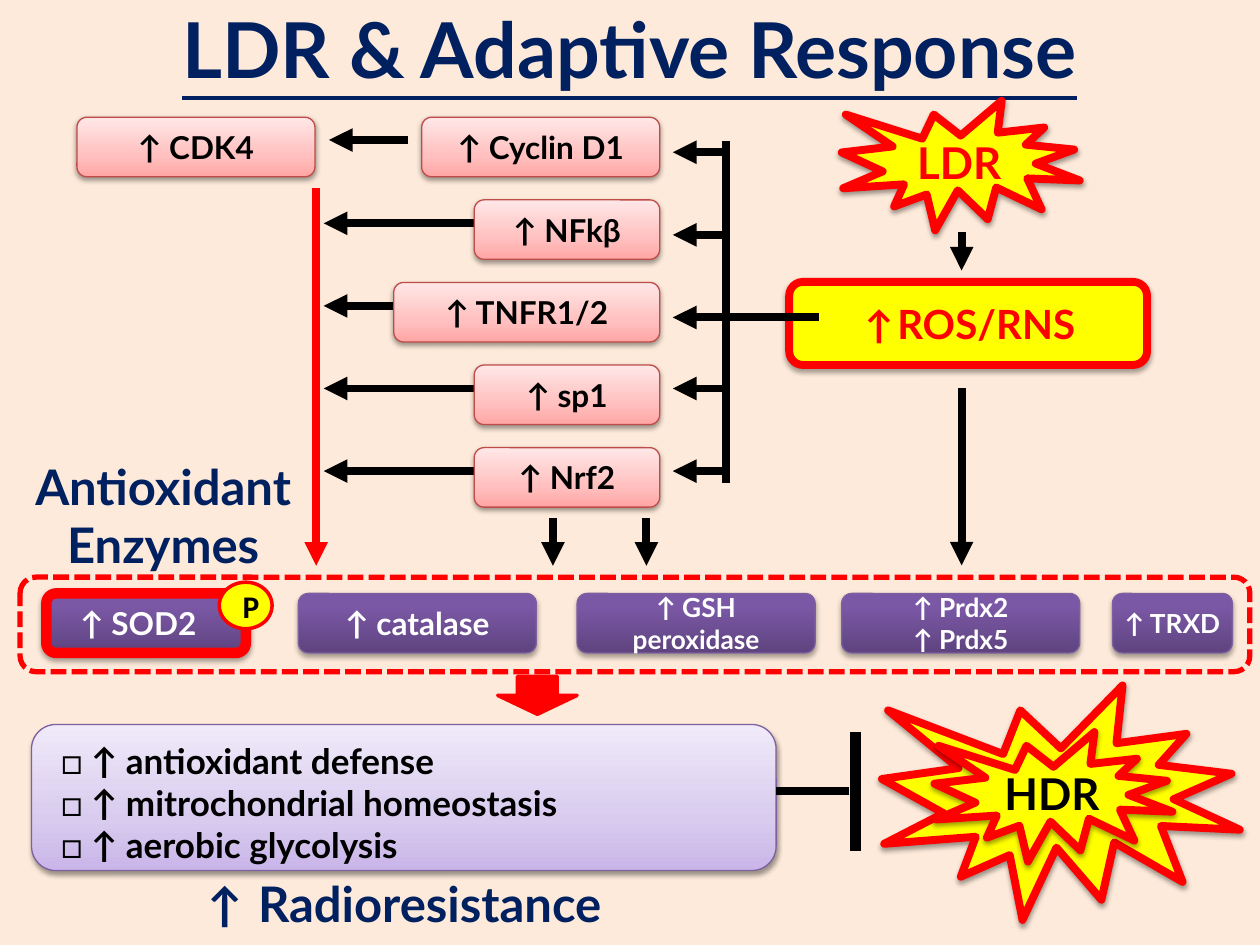
from dataclasses import dataclass

from lxml import etree
from pptx import Presentation
from pptx.dml.color import RGBColor
from pptx.enum import dml, shapes, text
from pptx.oxml import ns
from pptx.util import Pt

KIND = shapes.MSO_SHAPE
MID = text.MSO_ANCHOR.MIDDLE


@dataclass(frozen=True)
class Theme:
    face: str = "Lato"
    alt: str = "Calibri"
    back: str = "FDEADA"
    navy: str = "002060"
    red: str = "FF0000"
    gold: str = "FFFF00"
    ink: str = "000000"
    white: str = "FFFFFF"
    rose: str = "BF4C48"
    plum: str = "7D60A0"
    pink: tuple = ((0, "FFA6A5"), (35, "FFC0BF"), (100, "FFE7E7"))
    grape: tuple = ((0, "5F4480"), (80, "7B58A6"), (100, "7C57A8"))
    lilac: tuple = ((0, "C9B5E8"), (35, "D8CBEE"), (100, "F0EAF9"))
    title: int = 44
    head: int = 28
    burst: int = 25
    core: int = 23
    list: int = 20
    node: int = 18
    small: int = 15
    thick: float = 4.5


T = Theme()


def rgb(code):
    return RGBColor.from_string(code)


def sub(node, tag, **attrs):
    return etree.SubElement(node, ns.qn(tag), attrs)


def put(shape, box, x, y, w, h):
    shape.left, shape.top = Pt(box[0] + x), Pt(box[1] + y)
    shape.width, shape.height = Pt(w), Pt(h)


def paint(shape, fill, edge, width, shade=None):
    if fill is None:
        shape.fill.background()
    elif isinstance(fill, str):
        shape.fill.solid()
        shape.fill.fore_color.rgb = rgb(fill)
    else:
        shape.fill.gradient()
        shape.fill.gradient_angle = 90
        stops = shape.element.spPr.find(".//" + ns.qn("a:gsLst"))
        for old in list(stops):
            stops.remove(old)
        for pos, code in fill:
            stop = sub(stops, "a:gs", pos=str(pos * 1000))
            sub(stop, "a:srgbClr", val=code)
    shape.line.color.rgb = rgb(edge)
    shape.line.width = Pt(width)
    shape.shadow.inherit = False
    if shade:
        alpha, dist = shade
        glow = sub(shape.element.spPr.find(ns.qn("a:effectLst")), "a:outerShdw",
                   blurRad=str(Pt(3.1)), dist=str(Pt(dist)), dir="5400000", rotWithShape="0")
        sub(sub(glow, "a:srgbClr", val=T.ink), "a:alpha", val=str(alpha * 1000))


def form(slide, kind, box, rect, fill, edge, width, shade=None):
    x, y, w, h = rect
    shape = slide.shapes.add_shape(kind, Pt(box[0] + x), Pt(box[1] + y), Pt(w), Pt(h))
    paint(shape, fill, edge, width, shade)
    return shape


def write(shape, lines, size, color, face=T.face, align=text.PP_ALIGN.CENTER):
    frame = shape.text_frame
    for i, line in enumerate(lines):
        par = frame.add_paragraph() if i else frame.paragraphs[0]
        if isinstance(line, tuple):
            for part, name in zip(line, (T.alt, face)):
                run = par.add_run()
                run.text, run.font.name = part, name
        else:
            par.text = line
        par.alignment = align
        font = par.font
        font.name, font.size, font.bold = face, Pt(size), True
        font.color.rgb = rgb(color)


def label(shape, lines, size, color, face=T.face, wrap=False, pad=0):
    frame = shape.text_frame
    frame.word_wrap, frame.vertical_anchor = wrap, MID
    frame.margin_left, frame.margin_right = Pt(9), Pt(9 + pad)
    frame.margin_top = frame.margin_bottom = Pt(4.5)
    write(shape, lines, size, color, face)


def note(slide, box, rect, lines):
    x, y, w, h = rect
    area = slide.shapes.add_textbox(Pt(box[0] + x), Pt(box[1] + y), Pt(w), Pt(h))
    area.text_frame.word_wrap, area.text_frame.vertical_anchor = True, MID
    write(area, lines, T.head, T.navy)


def wire(slide, box, x1, y1, x2, y2, color=T.ink, width=T.thick, tip=True):
    x, y = box
    line = slide.shapes.add_connector(
        shapes.MSO_CONNECTOR.STRAIGHT, Pt(x + x1), Pt(y + y1), Pt(x + x2), Pt(y + y2))
    line.line.color.rgb, line.line.width = rgb(color), Pt(width)
    if tip:
        sub(line.line._get_or_add_ln(), "a:tailEnd", type="triangle")
    sub(line.element.spPr, "a:effectLst")


def star(slide, box, rect):
    return form(slide, KIND.EXPLOSION1, box, rect, T.gold, T.red, T.thick, (38, 1.6))


def header(slide, box):
    title = slide.shapes.title
    put(title, box, 0, 0, 648, 90)
    title.text_frame.vertical_anchor = MID
    title.text_frame.auto_size = text.MSO_AUTO_SIZE.NONE
    write(title, ["LDR & Adaptive Response"], T.title, T.navy)
    title.text_frame.paragraphs[0].font.underline = True


def source(slide, box):
    label(star(slide, box, (30, 0, 136, 74)), ["LDR"], T.burst, T.red)
    core = form(slide, KIND.ROUNDED_RECTANGLE, box, (0, 103.5, 204.5, 47.5),
                T.gold, T.red, T.thick, (35, 1.8))
    label(core, [("↑", "ROS/RNS")], T.core, T.red)
    for top, end in ((75, 97), (164, 265.5)):
        wire(slide, box, 98.5, top, 98.5, end)


def pathway(slide, box):
    edge, bus, step, high, drop = 333, 371, 47.2, 34, 256.3

    def node(name, x, y, w):
        shape = form(slide, KIND.ROUNDED_RECTANGLE, box, (x, y, w, high),
                     T.pink, T.rose, 0.75, (38, 1.6))
        label(shape, ["↑ " + name], T.node, T.ink)

    wire(slide, box, bus, 114.4, 424, 114.4, tip=False)
    wire(slide, box, bus, 209, bus, 13.5, tip=False)
    node("CDK4", 0, 0, 136)
    rows = (("Cyclin D1", 136, 20), ("NFkβ", 106, 20), ("TNFR1/2", 152, 20),
            ("sp1", 106, 13.4), ("Nrf2", 106, 13.4))
    for i, (name, wide, gap) in enumerate(rows):
        y = i * step
        wire(slide, box, bus, y + gap, 340.5, y + gap)
        if i:
            wire(slide, box, edge - wide, y + 13.4, 141, y + 13.4)
        node(name, edge - wide, y, wide)
    wire(slide, box, 189.3, 13, 144, 13)
    wire(slide, box, 136.7, 40.3, 136.7, drop, T.red)
    for x in (272, 325.4):
        wire(slide, box, x, 229, x, drop)


def enzymes(slide, box):
    note(slide, box, (-17.3, -65.6, 198, 60), ["Antioxidant", "Enzymes"])
    frame = form(slide, KIND.ROUNDED_RECTANGLE, box, (0, 0, 702.7, 54), None, T.red, 3)
    frame.line.dash_style = dml.MSO_LINE.SQUARE_DOT
    sub_dash = frame.line._get_or_add_ln().find(ns.qn("a:prstDash"))
    sub_dash.set("val", "sysDash")
    items = ((["↑ SOD2"], 15, 114, T.node, T.red, 6, 9),
             (["↑ catalase"], 159, 136, T.node, T.plum, 0.75, 0),
             (["↑ GSH", "peroxidase"], 318.3, 136, T.small, T.plum, 0.75, 0),
             (["↑ Prdx2", "↑ Prdx5"], 469.5, 136, T.small, T.plum, 0.75, 0),
             (["↑ TRXD"], 624.2, 68.5, T.small, T.plum, 0.75, 0))
    for lines, x, wide, size, edge, width, pad in items:
        shape = form(slide, KIND.ROUNDED_RECTANGLE, box, (x, 9.3, wide, 34),
                     T.grape, edge, width, (35, 1.8))
        label(shape, lines, size, T.white, pad=pad)
    badge = form(slide, KIND.OVAL, box, (113.8, 2.9, 30.2, 26.6), T.gold, T.red, 2)
    label(badge, ["P"], T.node, T.ink, T.alt, wrap=True)


def outcome(slide, box):
    body = slide.placeholders[1]
    put(body, box, 0, 0, 425.5, 83.5)
    geom = etree.Element(ns.qn("a:prstGeom"), prst="roundRect")
    sub(geom, "a:avLst")
    body.element.spPr.insert(1, geom)
    paint(body, T.lilac, T.plum, 0.75, (38, 1.6))
    frame = body.text_frame
    frame.auto_size = text.MSO_AUTO_SIZE.NONE
    frame.vertical_anchor = text.MSO_ANCHOR.TOP
    frame.margin_left = frame.margin_right = Pt(13)
    frame.margin_top = frame.margin_bottom = Pt(4.5)
    lines = ("antioxidant defense", "mitrochondrial homeostasis", "aerobic glycolysis")
    for i, line in enumerate(lines):
        par = frame.add_paragraph() if i else frame.paragraphs[0]
        par.text = "↑ " + line
        par.alignment, par.space_before = text.PP_ALIGN.LEFT, Pt(0)
        props = par._p.get_or_add_pPr()
        props.set("marL", str(Pt(17)))
        props.set("indent", str(-Pt(17)))
        sub(props, "a:buFont", typeface=T.face)
        sub(props, "a:buChar", char="□")
        font = par.font
        font.name, font.size, font.bold = T.face, Pt(T.list), True
        font.color.rgb = rgb(T.ink)
    form(slide, KIND.DOWN_ARROW, box, (266.4, -27.4, 45.4, 21.6), T.red, T.red, 2)
    note(slide, box, (72, 72, 279.4, 60), [("↑ ", "Radioresistance")])


def threat(slide, box):
    star(slide, box, (0, 0, 204.5, 134))
    label(star(slide, box, (30, 26.6, 136, 74)), ["HDR"], T.burst, T.ink)
    wire(slide, box, -15, 26.6, -15, 94.3, width=6, tip=False)
    wire(slide, box, -18.7, 60.5, -60.5, 60.5, tip=False)


def main():
    deck = Presentation()
    deck.slide_width, deck.slide_height = Pt(720), Pt(540)
    slide = deck.slides.add_slide(deck.slide_layouts[1])
    slide.background.fill.solid()
    slide.background.fill.fore_color.rgb = rgb(T.back)
    header(slide, (36, -18))
    source(slide, (451, 57.6))
    pathway(slide, (44, 67))
    enzymes(slide, (11.5, 329.8))
    outcome(slide, (18, 414))
    threat(slide, (504, 391.7))
    deck.save("out.pptx")


if __name__ == "__main__":
    main()
